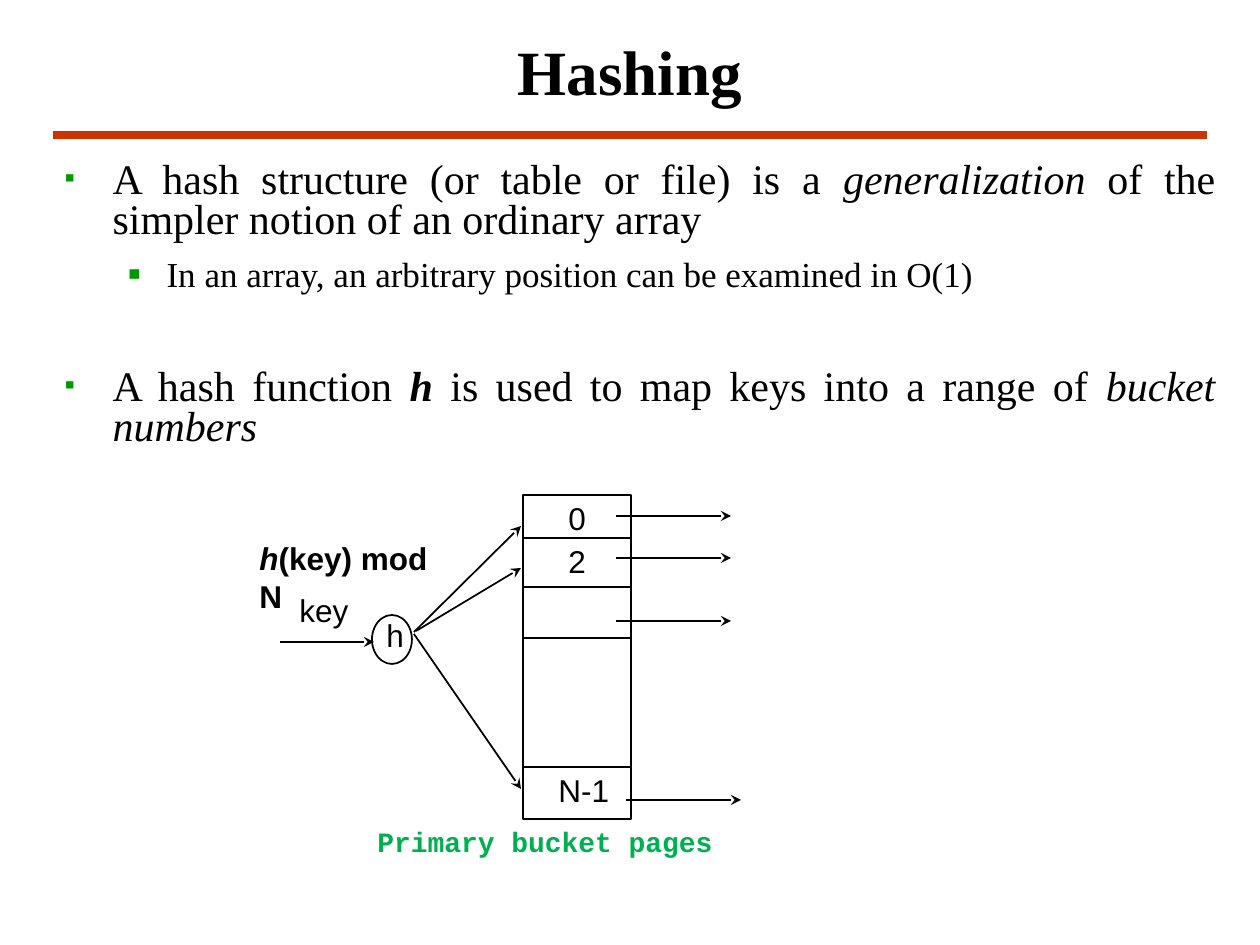
import pptx
import pptx.util
import pptx.dml.color
import pptx.enum.shapes
import pptx.enum.text
import pptx.oxml
import pptx.oxml.ns

RGBColor = pptx.dml.color.RGBColor
BLACK = RGBColor(0x00, 0x00, 0x00)
RED = RGBColor(0xCC, 0x33, 0x00)
BULLET_GREEN = RGBColor(0x00, 0x99, 0x00)
CAPTION_GREEN = RGBColor(0x00, 0xB0, 0x50)

SCALE = 914400 / 126  # EMU in one px
SERIF, SANS, MONO = "Times New Roman", "Arial", "Courier New"

# Content: spans are (text, style), where style holds b for bold, i for italic
TITLE = "Hashing"
BULLETS = [  # level, space before in points, spans
    (0, 15, [("A hash structure (or table or file) is a ", ""),
             ("generalization", "i"),
             (" of the simpler notion of an ordinary array", "")]),
    (1, 10, [("In an array, an arbitrary position can be examined in O(1)", "")]),
    (0, 43, [("A hash function ", ""), ("h", "bi"),
             (" is used to map keys into a range of ", ""),
             ("bucket numbers", "i")]),
]
LEVELS = [  # text size, left margin px, hanging px, bullet size %
    (24, 48, 48, 70),
    (20, 102, 39, 110),
]
LABELS = [  # left, top, width, height, spans, font, size, colour
    (247, 533, 224, 50, [("h", "bi"), ("(key) mod N", "b")], SANS, 18, BLACK),
    (374, 610, 43, 50, [("h", "")], SANS, 18, BLACK),
    (287, 585, 74, 50, [("key", "")], SANS, 18, BLACK),
    (365, 818, 360, 45, [("Primary bucket pages", "b")], MONO, 16, CAPTION_GREEN),
    (556, 493, 43, 50, [("0", "")], SANS, 18, BLACK),
    (556, 536, 43, 50, [("2", "")], SANS, 18, BLACK),
    (546, 765, 76, 50, [("N-1", "")], SANS, 18, BLACK),
]
HASH_NODE = (372, 615, 40, 49)
ARRAY = (523, 495, 108, 324)
DIVIDERS = [538, 587, 638, 767]
HASH_ARROWS = [  # from x, y to x, y
    (280, 642, 374, 642),
    (414, 632, 521, 526),
    (416, 631, 521, 568),
    (414, 634, 521, 789),
]
POINTERS = [(616, 516), (616, 558), (616, 621), (626, 800)]
POINTER_LENGTH = 115


def px(length):
    return pptx.util.Emu(round(length * SCALE))


def place(shape, left, top, width, height):
    shape.left, shape.top = px(left), px(top)
    shape.width, shape.height = px(width), px(height)


def set_font(para, name, size, colour):
    para.font.name = name
    para.font.size = pptx.util.Pt(size)
    para.font.color.rgb = colour


def add_spans(para, spans):
    for text, style in spans:
        span = para.add_run()
        span.text = text
        if "b" in style:
            span.font.bold = True
        if "i" in style:
            span.font.italic = True


def add_child(parent, tag, **attributes):
    child = pptx.oxml.parse_xml(f"<{tag} {pptx.oxml.ns.nsdecls('a')}/>")
    for name, value in attributes.items():
        child.set(name, str(value))
    parent.append(child)
    return child


def add_line(page, x1, y1, x2, y2, colour=BLACK, weight=1, arrow=False):
    line = page.shapes.add_connector(
        pptx.enum.shapes.MSO_CONNECTOR.STRAIGHT, px(x1), px(y1), px(x2), px(y2))
    line.line.color.rgb = colour
    line.line.width = pptx.util.Pt(weight)
    if arrow:
        add_child(line.line._get_or_add_ln(), "a:tailEnd", type="stealth")
    add_child(line._element.spPr, "a:effectLst")


def add_outline(page, kind, bounds):
    shape = page.shapes.add_shape(kind, *map(px, bounds))
    shape.shadow.inherit = False
    shape.fill.background()
    shape.line.color.rgb = BLACK
    shape.line.width = pptx.util.Pt(1)


def add_bullet(para, level, space, spans):
    size, margin, hanging, percent = LEVELS[level]
    para.level = level
    para.alignment = pptx.enum.text.PP_ALIGN.JUSTIFY
    para.line_spacing = 0.8
    para.space_before = pptx.util.Pt(space)
    props = para._p.get_or_add_pPr()
    props.set("marL", str(px(margin)))
    props.set("indent", str(-px(hanging)))
    add_child(add_child(props, "a:buClr"), "a:srgbClr", val=BULLET_GREEN)
    add_child(props, "a:buSzPct", val=percent * 1000)
    add_child(props, "a:buFont", typeface=SANS)
    add_child(props, "a:buChar", char="▪")
    set_font(para, SERIF, size, BLACK)
    add_spans(para, spans)


def main():
    deck = pptx.Presentation()
    deck.slide_width, deck.slide_height = px(1260), px(945)
    page = deck.slides.add_slide(deck.slide_layouts[1])

    # Title and rule
    add_line(page, 53, 135, 1207, 135, RED, 4.5)
    title = page.shapes.title
    place(title, 110, 26, 1040, 89)
    title.text_frame.text = TITLE
    title.text_frame.auto_size = pptx.enum.text.MSO_AUTO_SIZE.NONE
    title.text_frame.vertical_anchor = pptx.enum.text.MSO_ANCHOR.MIDDLE
    para = title.text_frame.paragraphs[0]
    para.alignment = pptx.enum.text.PP_ALIGN.CENTER
    set_font(para, SERIF, 36, BLACK)
    para.font.bold = True

    # Bulleted list
    body = page.placeholders[1]
    place(body, 52, 156, 1176, 320)
    frame = body.text_frame
    frame.auto_size = pptx.enum.text.MSO_AUTO_SIZE.NONE
    for index, bullet in enumerate(BULLETS):
        add_bullet(frame.add_paragraph() if index else frame.paragraphs[0], *bullet)

    # Hash node and bucket array
    add_outline(page, pptx.enum.shapes.MSO_SHAPE.OVAL, HASH_NODE)
    add_outline(page, pptx.enum.shapes.MSO_SHAPE.RECTANGLE, ARRAY)
    left, _, width, _ = ARRAY
    for y in DIVIDERS:
        add_line(page, left, y, left + width, y)

    # Labels
    for *bounds, spans, name, size, colour in LABELS:
        box = page.shapes.add_textbox(*map(px, bounds))
        box.text_frame.word_wrap = False
        box.text_frame.auto_size = pptx.enum.text.MSO_AUTO_SIZE.SHAPE_TO_FIT_TEXT
        para = box.text_frame.paragraphs[0]
        set_font(para, name, size, colour)
        add_spans(para, spans)

    # Arrows
    for ends in HASH_ARROWS:
        add_line(page, *ends, arrow=True)
    for x, y in POINTERS:
        add_line(page, x, y, x + POINTER_LENGTH, y, arrow=True)

    deck.save("out.pptx")


if __name__ == "__main__":
    main()
